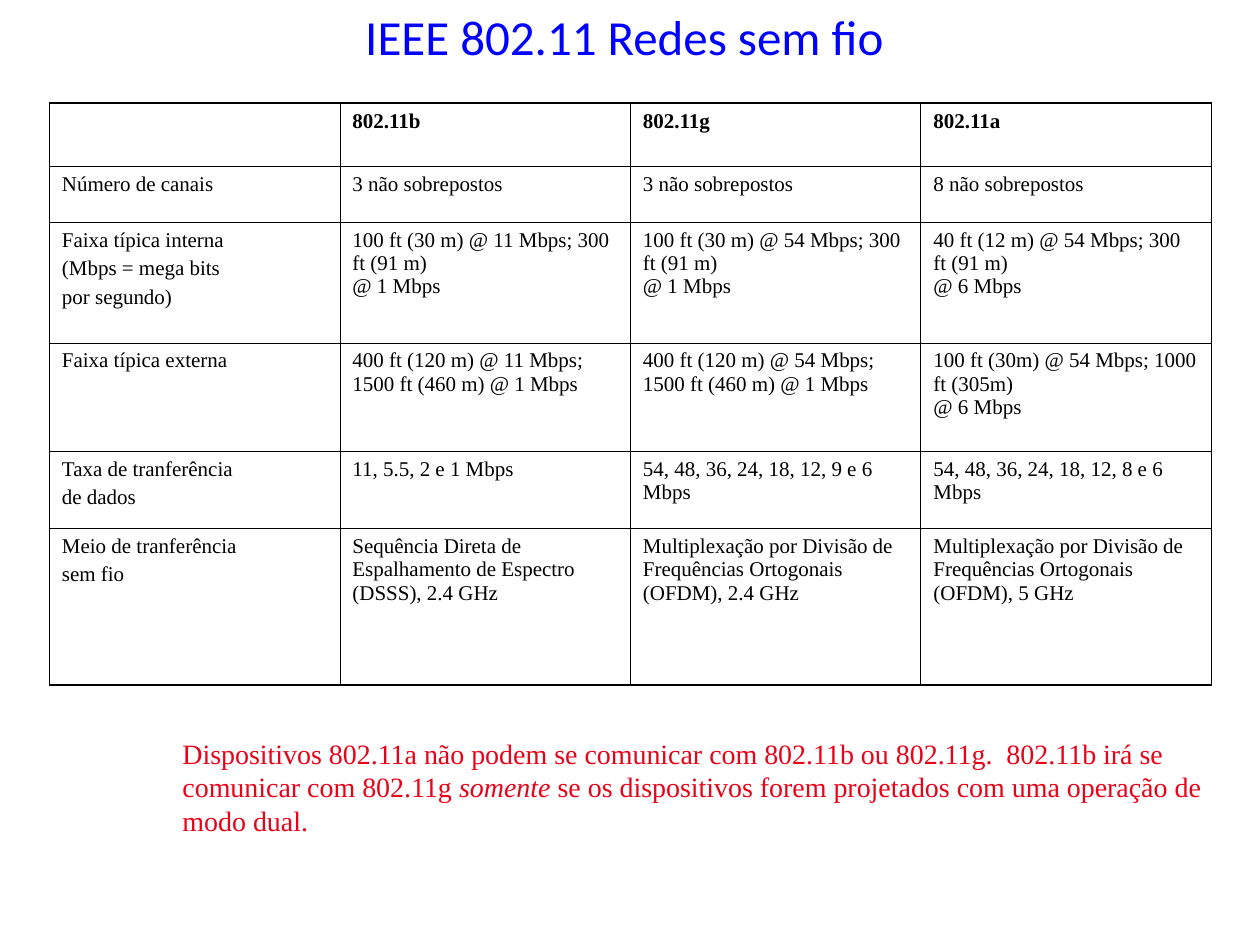
from dataclasses import dataclass

from lxml import etree
from pptx import Presentation
from pptx.dml.color import RGBColor
from pptx.enum.text import MSO_ANCHOR, MSO_AUTO_SIZE
from pptx.oxml.ns import qn
from pptx.slide import Slide
from pptx.util import Pt

TOP = MSO_ANCHOR.TOP
MIDDLE = MSO_ANCHOR.MIDDLE
FIT_SHAPE = MSO_AUTO_SIZE.SHAPE_TO_FIT_TEXT

COLUMN_WIDTH = 166
ROW_HEIGHTS = [36, 32, 69, 62, 44, 89.5]
ROWS = [
    ["", "802.11b", "802.11g", "802.11a"],
    ["Número de canais", "3 não sobrepostos", "3 não sobrepostos", "8 não sobrepostos"],
    [
        ["Faixa típica interna", "(Mbps = mega bits", "por segundo)"],
        "100 ft (30 m) @ 11 Mbps; 300 ft (91 m)\n@ 1 Mbps",
        "100 ft (30 m) @ 54 Mbps; 300 ft (91 m)\n@ 1 Mbps",
        "40 ft (12 m) @ 54 Mbps; 300 ft (91 m)\n@ 6 Mbps",
    ],
    [
        "Faixa típica externa",
        "400 ft (120 m) @ 11 Mbps; 1500 ft (460 m) @ 1 Mbps",
        "400 ft (120 m) @ 54 Mbps; 1500 ft (460 m) @ 1 Mbps",
        "100 ft (30m) @ 54 Mbps; 1000 ft (305m)\n@ 6 Mbps",
    ],
    [
        ["Taxa de tranferência", "de dados"],
        "11, 5.5, 2 e 1 Mbps",
        "54, 48, 36, 24, 18, 12, 9 e 6 Mbps",
        "54, 48, 36, 24, 18, 12, 8 e 6 Mbps",
    ],
    [
        ["Meio de tranferência", "sem fio"],
        "Sequência Direta de Espalhamento de Espectro (DSSS), 2.4 GHz",
        "Multiplexação por Divisão de Frequências Ortogonais (OFDM), 2.4 GHz",
        "Multiplexação por Divisão de Frequências Ortogonais (OFDM), 5 GHz",
    ],
]


def color(value):
    """Return the colour for a hex string."""
    return RGBColor.from_string(value)


@dataclass
class SlideBuilder:
    """Hold the style and the current slide."""

    slide: Slide
    title_font: str = "Calibri"
    body_font: str = "Times New Roman"
    title_color: str = "0000FF"
    note_color: str = "E90319"
    line_color: str = "000000"
    inner_line: float = 0.45
    outer_line: float = 1.08

    def add_run(self, paragraph, text, size, font_name, font_color, bold=False, italic=False):
        """Add one styled run to a paragraph."""
        run = paragraph.add_run()
        run.text = text
        font = run.font
        font.size, font.name = Pt(size), font_name
        font.bold, font.italic = bold, italic
        font.color.rgb = color(font_color)

    def add_text(self, left, top, width, height, runs, size, font_name, font_color,
                 wrap=True, anchor=TOP):
        """Add a text box from pairs of text and italic flag."""
        shape = self.slide.shapes.add_textbox(Pt(left), Pt(top), Pt(width), Pt(height))
        frame = shape.text_frame
        frame.word_wrap = wrap
        frame.auto_size = FIT_SHAPE
        frame.vertical_anchor = anchor
        for text, italic in runs:
            self.add_run(frame.paragraphs[0], text, size, font_name, font_color, italic=italic)

    def add_borders(self, cell, outer_sides):
        """Draw the four cell borders, thicker on the outer sides."""
        properties = cell._tc.get_or_add_tcPr()
        for side in "LRTB":
            width = self.outer_line if side in outer_sides else self.inner_line
            line = etree.SubElement(properties, qn(f"a:ln{side}"), w=str(int(Pt(width))))
            fill = etree.SubElement(line, qn("a:solidFill"))
            etree.SubElement(fill, qn("a:srgbClr"), val=self.line_color)

    def fill_cell(self, cell, content, bold):
        """Write one paragraph for each text of a cell."""
        texts = content if isinstance(content, list) else [content]
        frame = cell.text_frame
        for index, text in enumerate(texts):
            paragraph = frame.add_paragraph() if index else frame.paragraphs[0]
            paragraph.space_before = Pt(3 if index else 0)
            for number, line in enumerate(text.split("\n")):
                if number:
                    paragraph.add_line_break()
                if line:
                    self.add_run(paragraph, line, 12, self.body_font, self.line_color, bold)

    def add_table(self, left, top, rows, column_width, row_heights):
        """Add a ruled table without fills."""
        last_row, last_column = len(rows) - 1, len(rows[0]) - 1
        shape = self.slide.shapes.add_table(
            len(rows), len(rows[0]), Pt(left), Pt(top),
            Pt(column_width * len(rows[0])), Pt(sum(row_heights)))
        table = shape.table
        table.first_row = table.horz_banding = False
        for column in table.columns:
            column.width = Pt(column_width)
        for row_index, contents in enumerate(rows):
            table.rows[row_index].height = Pt(row_heights[row_index])
            for column_index, content in enumerate(contents):
                cell = table.cell(row_index, column_index)
                outer_sides = [side for side, at_edge in (
                    ("L", column_index == 0), ("R", column_index == last_column),
                    ("T", row_index == 0), ("B", row_index == last_row)) if at_edge]
                self.add_borders(cell, outer_sides)
                cell.fill.background()
                self.fill_cell(cell, content, bold=row_index == 0)


def main():
    """Build the wireless network slide."""
    presentation = Presentation()
    presentation.slide_width, presentation.slide_height = Pt(720), Pt(540)
    builder = SlideBuilder(presentation.slides.add_slide(presentation.slide_layouts[6]))
    builder.add_text(201.6, 0, 311, 41, [("IEEE 802.11 Redes sem fio", False)],
                     28, builder.title_font, builder.title_color, wrap=False)
    builder.add_table(28.2, 59, ROWS, COLUMN_WIDTH, ROW_HEIGHTS)
    note = [
        ("Dispositivos 802.11a não podem se comunicar com 802.11b ou 802.11g.  "
         "802.11b irá se comunicar com 802.11g ", False),
        ("somente", True),
        (" se os dispositivos forem projetados com uma operação de modo dual.", False),
    ]
    builder.add_text(97.2, 417, 597.6, 65, note, 16, builder.body_font,
                     builder.note_color, anchor=MIDDLE)
    presentation.save("out.pptx")


if __name__ == "__main__":
    main()
